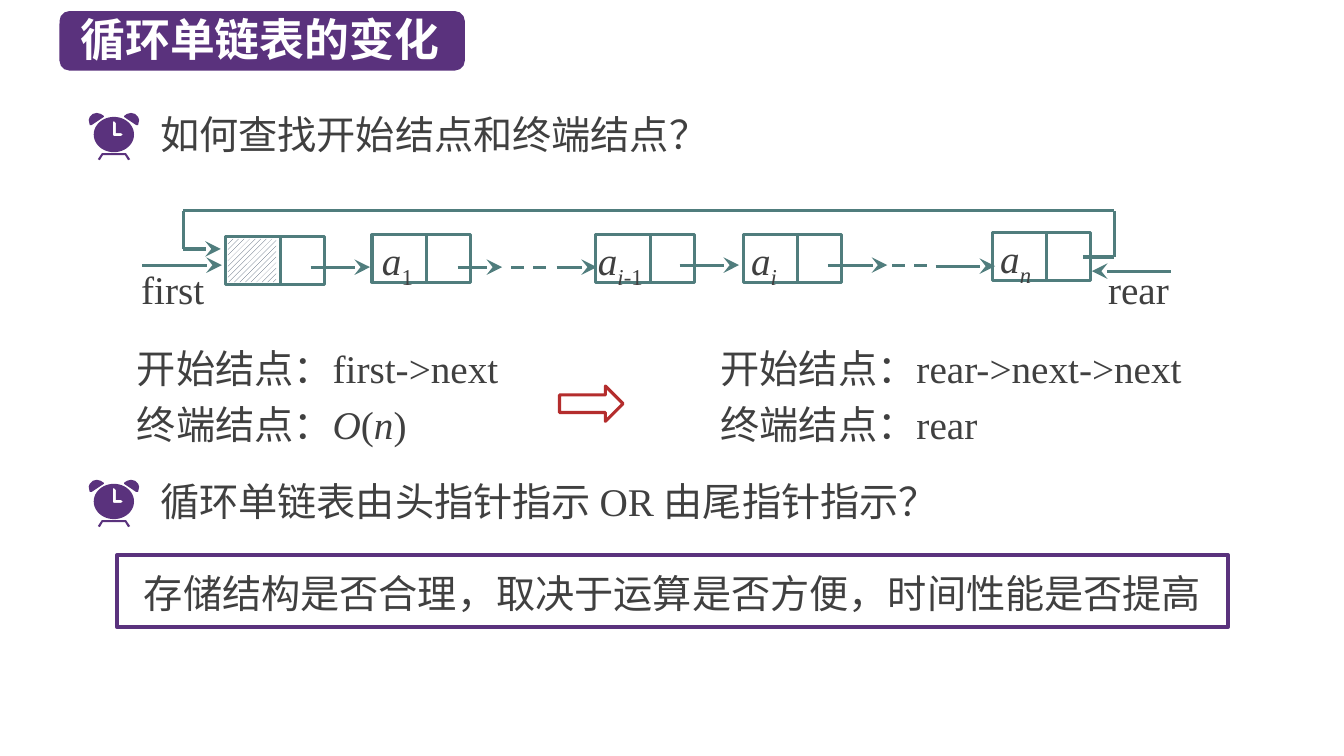
from dataclasses import dataclass
from math import cos, pi, sin

from lxml import etree
from pptx import Presentation
from pptx.dml.color import RGBColor as Rgb
from pptx.enum.dml import MSO_LINE as Dash, MSO_PATTERN as Hatch
from pptx.enum.shapes import MSO_CONNECTOR as Conn, MSO_SHAPE as Kind
from pptx.enum.text import MSO_ANCHOR as Anchor, PP_ALIGN as Align
from pptx.oxml.ns import qn
from pptx.util import Inches, Pt


@dataclass(frozen=True)
class Theme:
    main: Rgb = Rgb.from_string("5A327D")
    ink: Rgb = Rgb.from_string("404040")
    link: Rgb = Rgb.from_string("507D7D")
    red: Rgb = Rgb.from_string("B42D2D")
    slate: Rgb = Rgb.from_string("44546A")
    white: Rgb = Rgb.from_string("FFFFFF")
    head: Pt = Pt(32)
    body: Pt = Pt(28)
    thin: Pt = Pt(2.25)
    bold: Pt = Pt(3)
    han: str = "Noto Sans CJK SC"
    latin: str = "Times New Roman"


T = Theme()
PLAIN = {"size": T.body, "name": T.latin}
HAN = {"size": T.body, "name": T.han}
PAD = (0.1, 0.05, 0.1, 0.05)
TIGHT = {"line_spacing": 0.9}
LINES = {"space_before": Pt(6)}


def apply(item, fmt):
    for key, val in fmt.items():
        setattr(item, key, val)


def write(frame, paras, font=PLAIN, color=T.ink, para=None, pad=PAD, anchor=Anchor.TOP):
    left, top, right, base = map(Inches, pad)
    apply(frame, {"margin_left": left, "margin_top": top, "margin_right": right,
                  "margin_bottom": base, "word_wrap": True, "vertical_anchor": anchor})
    for i, runs in enumerate(paras):
        row = frame.add_paragraph() if i else frame.paragraphs[0]
        apply(row, {"alignment": Align.LEFT, **(para or {})})
        if not i:
            row.space_before = Pt(0)
        for text, *marks in runs:
            run = row.add_run()
            run.text = text
            apply(run.font, {**font, "italic": "i" in marks})
            run.font.color.rgb = color
            props = run.font._element
            etree.SubElement(props, qn("a:ea"), typeface=T.han)
            if "sub" in marks:
                props.set("baseline", "-25000")


def label(slide, box, paras, **fmt):
    write(slide.shapes.add_textbox(*map(Inches, box)).text_frame, paras, **fmt)


def shape(slide, kind, box, fill=None, line=None, width=T.thin):
    item = slide.shapes.add_shape(kind, *map(Inches, box))
    item.shadow.inherit = False
    paint(item, fill, line, width)
    return item


def paint(item, fill, line=None, width=T.thin):
    if fill:
        item.fill.solid()
        item.fill.fore_color.rgb = fill
    else:
        item.fill.background()
    if line:
        item.line.color.rgb = line
        item.line.width = width
    else:
        item.line.fill.background()


def wire(slide, start, end, arrow=False, dash=False):
    item = slide.shapes.add_connector(Conn.STRAIGHT, *map(Inches, (*start, *end)))
    item.line.color.rgb = T.link
    item.line.width = T.thin
    if dash:
        item.line.dash_style = Dash.DASH
    if arrow:
        etree.SubElement(item.line._get_or_add_ln(), qn("a:tailEnd"),
                         type="stealth", w="lg", len="lg")
    etree.SubElement(item._element.spPr, qn("a:effectLst"))


def outline(slide, x, y, *loops):
    paths = [[(Inches(x + dx), Inches(y + dy)) for dx, dy in loop] for loop in loops]
    pen = slide.shapes.build_freeform(*paths[0][0], scale=1.0)
    for i, path in enumerate(paths):
        if i:
            pen.move_to(*path[0])
        pen.add_line_segments(path[1:], close=True)
    item = pen.convert_to_shape()
    item.shadow.inherit = False
    paint(item, T.main)


def clock(slide, x, y):
    bell = [(-0.17, 0), (-0.21, 0.01), (-0.24, 0.04), (-0.25, 0.07), (-0.24, 0.12),
            (-0.22, 0.12), (-0.1, 0.04), (-0.1, 0.03), (-0.13, 0.01)]
    foot = [(-0.16, 0.46), (-0.12, 0.4), (0.12, 0.4), (0.16, 0.46),
            (0.14, 0.47), (0.11, 0.42), (-0.11, 0.42), (-0.14, 0.47)]
    face = [(0.2 * cos(k * pi / 24), 0.215 + 0.175 * sin(k * pi / 24)) for k in range(48)]
    hands = [(0.07, 0.23), (0, 0.23), (-0.01, 0.22), (-0.01, 0.09), (0, 0.08),
             (0.02, 0.1), (0.02, 0.2), (0.07, 0.2), (0.09, 0.215)]
    outline(slide, x, y, foot)
    outline(slide, x, y, bell)
    outline(slide, x, y, [(-dx, dy) for dx, dy in bell])
    outline(slide, x, y, face, hands)


def title(slide, box):
    x, y, wide, high = box
    shape(slide, Kind.ROUNDED_RECTANGLE, box, T.main)
    label(slide, (x + 0.11, y - 0.04, wide - 0.19, high + 0.05), [[("循环单链表的变化",)]],
          font={"size": T.head, "name": T.han, "bold": True}, color=T.white)


def ask(slide, box, text, font):
    x, y, _, _ = box
    label(slide, box, [[(text,)]], font=font)
    clock(slide, x - 0.36, y + 0.07)


def node(slide, x, y, runs=(), inset=0.08):
    item = shape(slide, Kind.RECTANGLE, (x, y, 0.98, 0.47), line=T.link)
    if runs:
        write(item.text_frame, [runs], para=TIGHT, pad=(inset, 0.02, 0, 0))
    else:
        cell = shape(slide, Kind.RECTANGLE, (x + 0.02, y + 0.02, 0.48, 0.43))
        cell.fill.patterned()
        cell.fill.pattern = Hatch.WIDE_UPWARD_DIAGONAL
        cell.fill.fore_color.rgb = T.slate
        cell.fill.back_color.rgb = T.white
    wire(slide, (x + 0.54, y), (x + 0.54, y + 0.47))


def chain(slide, box):
    x, y, wide, _ = box
    var = ("a", "i")
    node(slide, x + 0.84, y + 0.27)
    for dx, dy, runs, inset in [
        (2.29, 0.25, [var, ("1", "sub")], 0.1),
        (4.51, 0.25, [var, ("i", "i", "sub"), ("-1", "sub")], 0.02),
        (5.97, 0.25, [var, ("i", "i", "sub")], 0.08),
        (8.44, 0.23, [var, ("n", "i", "sub")], 0.08),
    ]:
        node(slide, x + dx, y + dy, runs, inset)
    for start, end, dy in [(0.01, 0.8, 0.55), (1.68, 2.27, 0.57), (3.14, 3.58, 0.57),
                           (4.12, 4.52, 0.57), (5.34, 5.93, 0.55), (6.81, 7.4, 0.55),
                           (7.88, 8.47, 0.56), (10.21, 9.43, 0.61)]:
        wire(slide, (x + start, y + dy), (x + end, y + dy), arrow=True)
    for start, dy in [(3.67, 0.57), (7.45, 0.55)]:
        wire(slide, (x + start, y + dy), (x + start + 0.35, y + dy), dash=True)
    loop = [(9.34, 0.47), (9.65, 0.47), (9.65, 0.01), (0.42, 0.01), (0.42, 0.39), (0.79, 0.39)]
    for i, (start, end) in enumerate(zip(loop, loop[1:])):
        wire(slide, (x + start[0], y + start[1]), (x + end[0], y + end[1]), arrow=i == 4)
    for dx, text in [(0, "first"), (wide - 0.83, "rear")]:
        label(slide, (x + dx, y + 0.55, 0.83, 0.51), [[(text,)]], pad=(0, 0, 0, 0.04))


def compare(slide, box):
    x, y, wide, high = box
    pad = (0.1, 0.06, 0, 0.05)
    label(slide, (x, y, 3.9, high),
          [[("开始结点：first->next",)],
           [("终端结点：",), ("O", "i"), ("(",), ("n", "i"), (")",)]],
          para=LINES, pad=pad)
    label(slide, (x + wide - 4.87, y, 4.87, high),
          [[("开始结点：rear->next->next",)], [("终端结点：rear",)]], para=LINES, pad=pad)
    shape(slide, Kind.RIGHT_ARROW, (x + 4.29, y + 0.47, 0.63, 0.35), line=T.red)


def moral(slide, box):
    item = shape(slide, Kind.RECTANGLE, box, line=T.main, width=T.bold)
    write(item.text_frame, [[("存储结构是否合理，取决于运算是否方便，时间性能是否提高",)]],
          font=HAN, para={"alignment": Align.CENTER, "line_spacing": Pt(40)},
          pad=(0.1, 0.05, 0.1, 0.11), anchor=Anchor.MIDDLE)


def main():
    deck = Presentation()
    deck.slide_width, deck.slide_height = Inches(13.33), Inches(7.5)
    slide = deck.slides.add_slide(deck.slide_layouts[6])
    title(slide, (0.59, 0.11, 4.02, 0.59))
    ask(slide, (1.49, 1.05, 9.1, 0.57), "如何查找开始结点和终端结点？", HAN)
    chain(slide, (1.4, 2.08, 10.42, 1.06))
    compare(slide, (1.26, 3.36, 10.66, 1.32))
    ask(slide, (1.49, 4.69, 9.1, 0.57), "循环单链表由头指针指示 OR 由尾指针指示？", PLAIN)
    moral(slide, (1.16, 5.51, 11.02, 0.71))
    deck.save("out.pptx")


if __name__ == "__main__":
    main()
